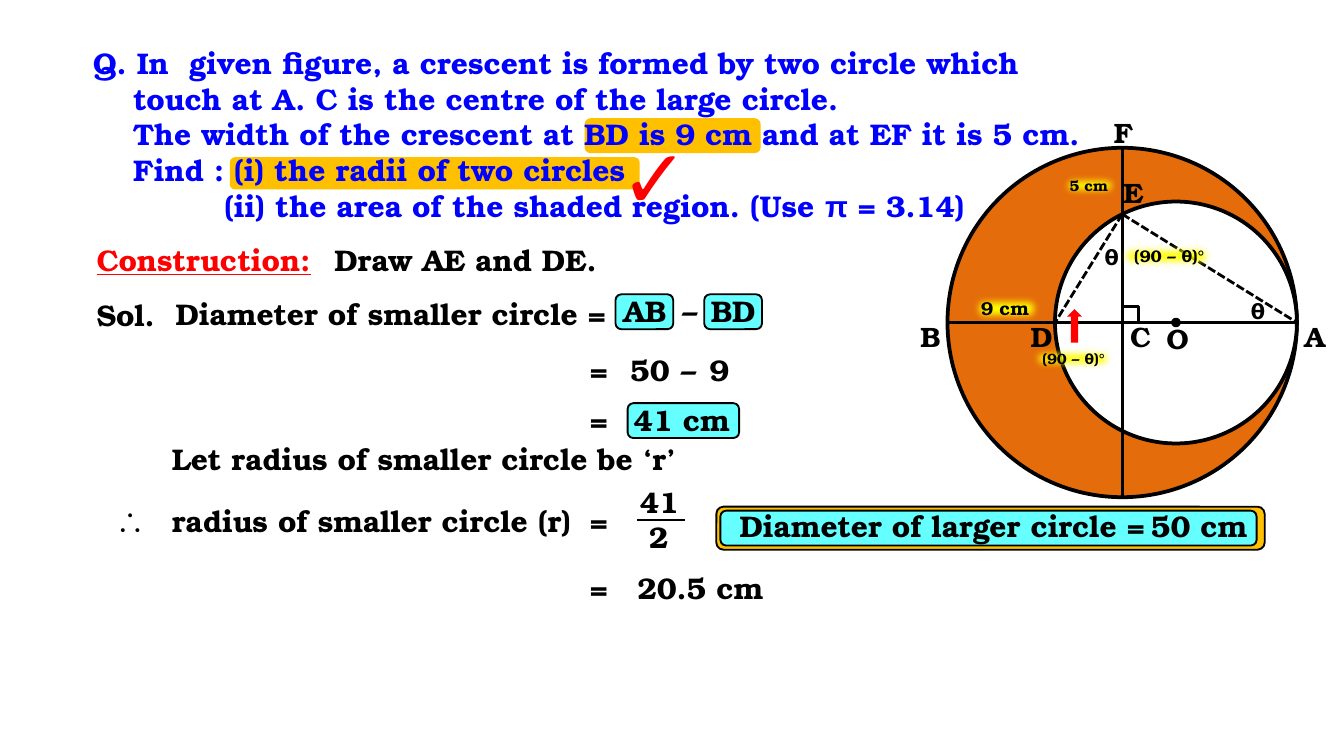
from math import sqrt

from lxml import etree
from pptx import Presentation
from pptx.dml.color import RGBColor
from pptx.enum.dml import MSO_LINE_DASH_STYLE as DASH
from pptx.enum.shapes import MSO_CONNECTOR, MSO_SHAPE as SHAPE
from pptx.enum.text import MSO_ANCHOR, MSO_AUTO_SIZE, PP_ALIGN
from pptx.oxml.ns import qn
from pptx.util import Inches, Pt

THEME = dict(
    font="TeX Gyre Bonum", symbol="Arial", tick="Calibri",
    black="000000", blue="0000FF", red="FF0000", white="FFFFFF",
    amber="FFC000", cyan="66FFFF", orange="E46C0A", yellow="FFFF00",
    body=16, point=15, angle=12, check=44,
)
L, R = PP_ALIGN.LEFT, PP_ALIGN.RIGHT

# ---- Content ----
# Question lines: left indent, runs of (text, font)
QUESTION = [
    (0, [("Q. In  given figure, a crescent is formed by two circle which", "font")]),
    (0.3, [("touch at A. C is the centre of the large circle.", "font")]),
    (0.3, [("The width of the crescent at BD is 9 cm and at EF it is 5 cm.", "font")]),
    (0.3, [("Find : (i) the radii of two circles", "font")]),
    (0.98, [("(ii) the area of the shaded region. (Use ", "font"),
            ("π", "symbol"), (" = 3.14)", "font")]),
]

# Boxes behind the text: left, top, width, height, fill, outlined
BOXES = [
    (1.71, 1.17, 3.05, 0.24, "amber", False),
    (4.35, 0.88, 1.31, 0.26, "amber", False),
    (4.58, 2.19, 0.43, 0.26, "cyan", True),
    (5.24, 2.19, 0.43, 0.26, "cyan", True),
    (4.67, 3.00, 0.83, 0.26, "cyan", True),
    (5.33, 3.77, 4.08, 0.32, "amber", True),
    (5.36, 3.80, 3.99, 0.26, "cyan", True),
]

# Solution rows: top, then (text, left, width, alignment)
EQUALS = ("=", 4.28, 0.34, R)
SOLUTION = [
    (1.75, [("Draw AE and DE.", 2.39, 2.26, L)]),
    (2.16, [("Sol.", 0.62, 0.67, L)]),
    (2.15, [("Diameter of smaller circle =", 1.07, 3.54, R)]),
    (2.13, [("AB", 4.54, 1.13, L), ("–", 4.98, 0.44, L), ("BD", 5.19, 0.62, L)]),
    (2.57, [EQUALS, ("50", 4.55, 0.53, R), ("–", 4.97, 0.30, R), ("9", 5.18, 0.33, R)]),
    (2.94, [EQUALS, ("41 cm", 4.46, 1.07, R)]),
    (3.23, [("Let radius of smaller circle be ‘r’", 1.18, 4.08, L)]),
    (3.69, [("radius of smaller circle (r)", 1.18, 3.22, L), EQUALS]),
    (3.55, [("41", 4.66, 0.75, L)]),
    (3.81, [("2", 4.73, 0.58, L)]),
    (3.73, [("Diameter of larger circle =", 5.08, 3.54, R), ("50 cm", 8.38, 1.00, R)]),
    (4.19, [EQUALS, ("20.5 cm", 4.60, 1.18, R)]),
]

# Point names: text, left, top
POINTS = [("B", 6.75, 2.33), ("A", 9.61, 2.33), ("F", 8.19, 0.81), ("E", 8.26, 1.26),
          ("D", 7.57, 2.33), ("C", 8.31, 2.33), ("O", 8.58, 2.34)]
THETAS = [(8.12, 1.76), (9.21, 2.16)]

# Glowing measures: text, left, top, width, height, size, alignment
MEASURES = [
    ("9 cm", 7.20, 2.16, 0.58, 0.27, 10, L),
    ("5 cm", 7.86, 1.26, 0.50, 0.24, 8, L),
    ("(90 – θ)°", 8.30, 1.78, 0.76, 0.25, 9, R),
    ("(90 – θ)°", 7.64, 2.55, 0.68, 0.24, 8, R),
]

# Circle geometry: both circles touch at A
CX, CY, BIG, SMALL = 8.35, 2.4, 1.3, 0.9
OX = CX + BIG - SMALL
A, B, D = (CX + BIG, CY), (CX - BIG, CY), (OX - SMALL, CY)
E = (CX, CY - sqrt(SMALL ** 2 - (OX - CX) ** 2))
F, G = (CX, CY - BIG), (CX, CY + BIG)

# ---- Wide 16:9 slide ----
prs = Presentation()
prs.slide_width = Inches(10)
prs.slide_height = prs.slide_width * 9 // 16
slide = prs.slides.add_slide(prs.slide_layouts[5])
shapes = slide.shapes


def rgb(name):
    return RGBColor.from_string(THEME[name])


def style(r, size, color="black", font="font", bold=True):
    r.font.name, r.font.size, r.font.bold = THEME[font], Pt(size), bold
    r.font.color.rgb = rgb(color)


def write(sp, text, size, align=L, **look):
    tf = sp.text_frame
    tf.word_wrap = True
    tf.text = text
    p = tf.paragraphs[0]
    p.alignment = align
    style(p.runs[0], size, **look)
    return p.runs[0]


def label(text, x, y, w, h, size, align=L, **look):
    sp = shapes.add_textbox(Inches(x), Inches(y), Inches(w), Inches(h))
    return write(sp, text, size, align, **look)


def shape(kind, x, y, w, h, fill, line=0):
    sp = shapes.add_shape(kind, Inches(x), Inches(y), Inches(w), Inches(h))
    sp.shadow.inherit = False
    sp.fill.solid()
    sp.fill.fore_color.rgb = rgb(fill)
    if line:
        sp.line.color.rgb, sp.line.width = rgb("black"), Pt(line)
    else:
        sp.line.fill.background()
    return sp


def circle(cx, cy, radius, fill, line):
    return shape(SHAPE.OVAL, cx - radius, cy - radius, 2 * radius, 2 * radius, fill, line)


def segment(start, end, dashed=False):
    ln = shapes.add_connector(MSO_CONNECTOR.STRAIGHT, *map(Inches, start + end))
    ln.line.color.rgb, ln.line.width = rgb("black"), Pt(1.5)
    if dashed:
        ln.line.dash_style = DASH.SQUARE_DOT
    etree.SubElement(ln._element.spPr, qn("a:effectLst"))


# ---- Highlight boxes ----
for x, y, w, h, fill, outlined in BOXES:
    shape(SHAPE.ROUNDED_RECTANGLE, x, y, w, h, fill, 1 if outlined else 0)

# ---- Question in the title placeholder, above its highlights ----
title = shapes.title
title.element.getparent().append(title.element)
title.left, title.top, title.width, title.height = map(Inches, (0.59, 0.28, 8.91, 1.72))
tf = title.text_frame
tf.word_wrap, tf.auto_size, tf.vertical_anchor = True, MSO_AUTO_SIZE.NONE, MSO_ANCHOR.TOP
for i, (indent, runs) in enumerate(QUESTION):
    p = tf.add_paragraph() if i else tf.paragraphs[0]
    p.alignment = L
    p._p.get_or_add_pPr().set("marL", str(Inches(indent)))
    for text, font in runs:
        r = p.add_run()
        r.text = text
        style(r, THEME["body"], "blue", font)

# ---- Crescent figure ----
circle(CX, CY, BIG, "orange", 2)
circle(OX, CY, SMALL, "white", 2)
segment(B, A)
segment(F, G)
segment(E, A, dashed=True)
segment(E, D, dashed=True)
circle(OX, CY, 0.02, "black", 2.25)

side = 0.12
fb = shapes.build_freeform(Inches(CX), Inches(CY - side), scale=1.0)
fb.add_line_segments([(Inches(CX + side), Inches(CY - side)),
                      (Inches(CX + side), Inches(CY))], close=False)
corner = fb.convert_to_shape()
corner.shadow.inherit = False
corner.fill.background()
corner.line.color.rgb, corner.line.width = rgb("black"), Pt(1.5)

for text, x, y in POINTS:
    label(text, x, y, 0.3, 0.35, THEME["point"])
for x, y in THETAS:
    label("θ", x, y, 0.3, 0.3, THEME["angle"], R)

for text, x, y, w, h, size, align in MEASURES:
    sp = shape(SHAPE.RECTANGLE, x, y, w, h, "yellow")
    write(sp, text, size, align)
    effects = sp._element.spPr.find(qn("a:effectLst"))
    etree.SubElement(effects, qn("a:softEdge"), rad=str(Pt(5)))

arrow = shape(SHAPE.RIGHT_ARROW, 7.87, 2.37, 0.25, 0.11, "red")
arrow.rotation = 270

# ---- Construction and solution ----
heading = label("Construction:", 0.62, 1.75, 1.9, 0.37, THEME["body"], color="red")
heading.font.underline = True
for y, parts in SOLUTION:
    for text, x, w, align in parts:
        label(text, x, y, w, 0.37, THEME["body"], align)
label("∴", 0.76, 3.69, 0.4, 0.37, THEME["body"], font="symbol")
segment((4.74, 3.87), (5.1, 3.87))
label("✓", 4.52, 0.89, 0.71, 0.84, THEME["check"], color="red", font="tick", bold=False)

prs.save("out.pptx")
